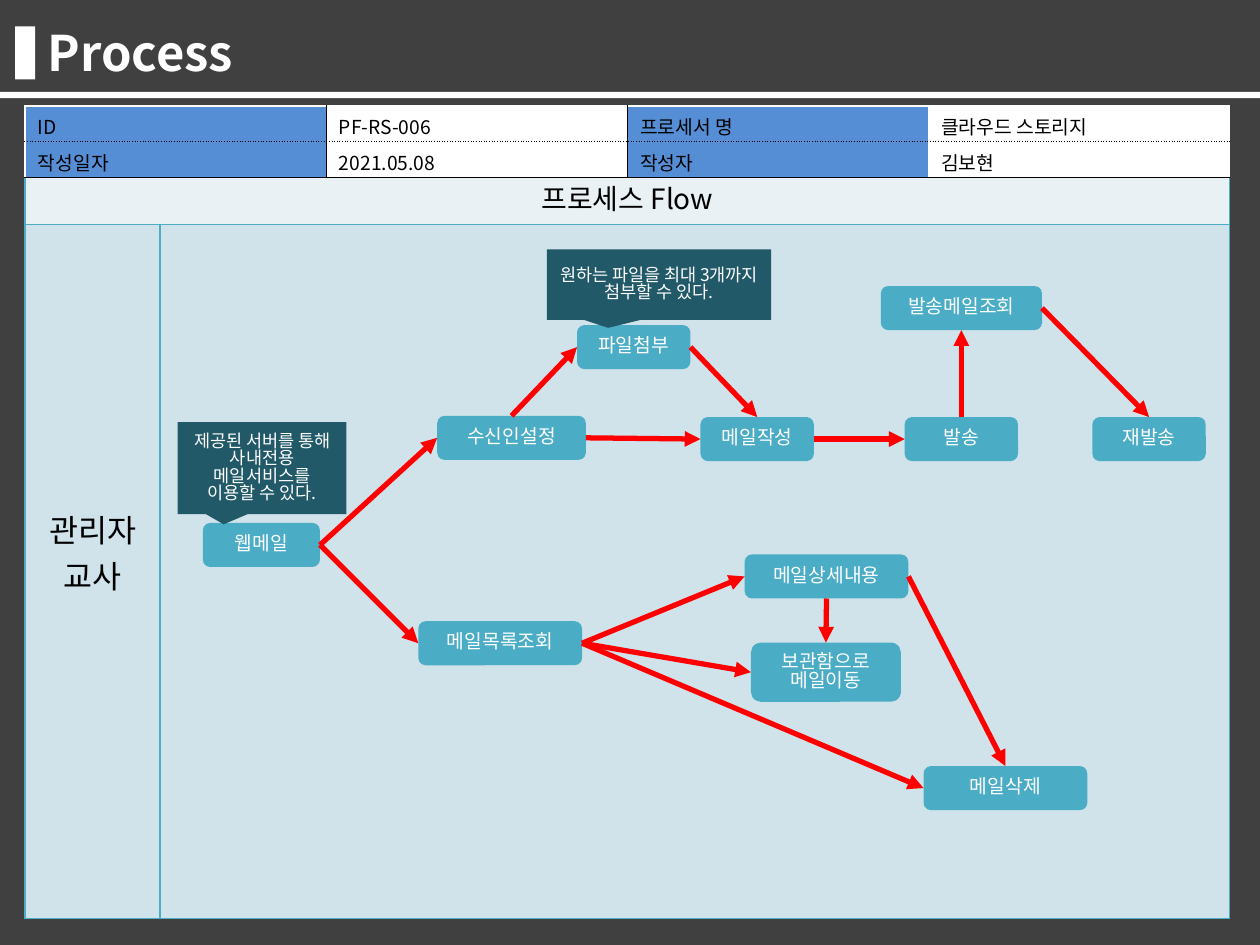
from lxml import etree
from pptx import Presentation
from pptx.dml.color import RGBColor
from pptx.enum.shapes import MSO_CONNECTOR as CONN, MSO_SHAPE as SHAPE
from pptx.enum.text import MSO_ANCHOR as ANCHOR, MSO_AUTO_SIZE as AUTO, PP_ALIGN as ALIGN
from pptx.oxml.ns import qn
from pptx.util import Inches, Pt

FONT = "Noto Sans CJK KR"
WHITE = RGBColor(0xFF, 0xFF, 0xFF)
BLACK = RGBColor(0, 0, 0)
DARK = RGBColor(0x40, 0x40, 0x40)
TEAL = RGBColor(0x4B, 0xAC, 0xC6)
DEEP_TEAL = RGBColor(0x21, 0x59, 0x68)
BLUE = RGBColor(0x55, 0x8E, 0xD5)
PALE = RGBColor(0xE9, 0xF1, 0xF5)
PALE_BLUE = RGBColor(0xD0, 0xE3, 0xEA)
RED = RGBColor(0xFF, 0, 0)

TOP, LEFT, BOTTOM, RIGHT = range(4)  # connection sites

# key: (text, left, top, width, height)
NODES = {
    "webmail": ("웹메일", 1.61, 4.15, 0.93, 0.35),
    "recipient": ("수신인설정", 3.47, 3.3, 1.18, 0.35),
    "attach": ("파일첨부", 4.58, 2.58, 0.9, 0.35),
    "write": ("메일작성", 5.56, 3.31, 0.9, 0.35),
    "send": ("발송", 7.18, 3.31, 0.9, 0.35),
    "sent": ("발송메일조회", 6.99, 2.27, 1.28, 0.35),
    "resend": ("재발송", 8.67, 3.31, 0.9, 0.35),
    "list": ("메일목록조회", 3.32, 4.93, 1.3, 0.35),
    "detail": ("메일상세내용", 5.91, 4.4, 1.3, 0.35),
    "archive": ("보관함으로\n메일이동", 5.96, 5.1, 1.19, 0.47),
    "delete": ("메일삭제", 7.33, 6.08, 1.3, 0.35),
}
EDGES = [
    ("webmail", RIGHT, "recipient", LEFT),
    ("webmail", RIGHT, "list", LEFT),
    ("recipient", TOP, "attach", LEFT),
    ("recipient", RIGHT, "write", LEFT),
    ("attach", RIGHT, "write", TOP),
    ("write", RIGHT, "send", LEFT),
    ("send", TOP, "sent", BOTTOM),
    ("sent", RIGHT, "resend", TOP),
    ("list", RIGHT, "detail", LEFT),
    ("list", RIGHT, "archive", LEFT),
    ("list", RIGHT, "delete", LEFT),
    ("detail", BOTTOM, "archive", TOP),
    ("detail", RIGHT, "delete", TOP),
]
CALLOUTS = [
    ("제공된 서버를 통해 사내전용 메일서비스를 이용할 수 있다.", 1.41, 3.35, 1.34, 0.73),
    ("원하는 파일을 최대 3개까지 첨부할 수 있다.", 4.34, 1.98, 1.78, 0.56),
]
INFO = [
    ["ID", "PF-RS-006", "프로세서 명", "클라우드 스토리지"],
    ["작성일자", "2021.05.08", "작성자", "김보현"],
]


def write_text(tf, text, size, color, align=ALIGN.LEFT, bold=False, spacing=None):
    for i, line in enumerate(text.split("\n")):
        p = tf.paragraphs[0] if i == 0 else tf.add_paragraph()
        p.alignment = align
        p.line_spacing = spacing
        r = p.add_run()
        r.text = line
        r.font.name, r.font.size, r.font.bold = FONT, Pt(size), bold
        r.font.color.rgb = color
        ea = etree.SubElement(r.font._element, qn("a:ea"))
        ea.set("typeface", FONT)


def add_box(s, kind, box, fill):
    sp = s.shapes.add_shape(kind, *map(Inches, box))
    sp.shadow.inherit = False
    sp.fill.solid()
    sp.fill.fore_color.rgb = fill
    sp.line.fill.background()
    return sp


def add_label(s, kind, box, fill, text, size):
    sp = add_box(s, kind, box, fill)
    tf = sp.text_frame
    tf.word_wrap = True
    tf.vertical_anchor = ANCHOR.MIDDLE
    write_text(tf, text, size, WHITE, ALIGN.CENTER, spacing=0.83)
    return sp


def add_grid(s, box, widths, heights):
    table = s.shapes.add_table(len(heights), len(widths), *map(Inches, box)).table
    table.first_row = table.horz_banding = False
    for col, w in zip(table.columns, widths):
        col.width = Inches(w)
    for row, h in zip(table.rows, heights):
        row.height = Inches(h)
    return table


def style_cell(cell, fill, borders):
    """Set borders given as (color, dash) for left, right, top, bottom, then the fill."""
    tc_pr = cell._tc.get_or_add_tcPr()
    for side, (color, dash) in zip("LRTB", borders):
        ln = etree.SubElement(tc_pr, qn(f"a:ln{side}"), w=str(Pt(1)))
        solid = etree.SubElement(ln, qn("a:solidFill"))
        etree.SubElement(solid, qn("a:srgbClr"), val=str(color))
        etree.SubElement(ln, qn("a:prstDash"), val=dash)
    cell.fill.solid()
    cell.fill.fore_color.rgb = fill


def add_heading(s, box):
    x, y, w, h = box
    title = s.shapes.title
    backdrop = add_box(s, SHAPE.RECTANGLE, (0, 0, 10, 7.5), DARK)
    title.element.addprevious(backdrop._element)
    title.left, title.top, title.width, title.height = map(
        Inches, (x + 0.28, y + 0.13, w - 1.02, 0.57))
    tf = title.text_frame
    tf.auto_size, tf.vertical_anchor = AUTO.NONE, ANCHOR.MIDDLE
    write_text(tf, "Process", 28, WHITE, bold=True)
    add_box(s, SHAPE.RECTANGLE, (x + 0.12, y + 0.21, 0.16, 0.42), WHITE)
    add_box(s, SHAPE.RECTANGLE, (x, y + h - 0.05, w, 0.05), WHITE)


def add_flow_frame(s, box):
    table = add_grid(s, box, [1.07, 8.49], [0.42, 5.51])
    for cell in table.iter_cells():
        style_cell(cell, PALE_BLUE, [(TEAL, "solid")] * 4)
    head, role = table.cell(0, 0), table.cell(1, 0)
    head.merge(table.cell(0, 1))
    head.fill.fore_color.rgb = PALE
    write_text(head.text_frame, "프로세스 Flow", 16, BLACK, ALIGN.CENTER)
    role.vertical_anchor = ANCHOR.MIDDLE
    role.margin_bottom = Inches(0.36)
    write_text(role.text_frame, "관리자\n교사", 18, BLACK, ALIGN.CENTER)


def add_info_table(s, box):
    table = add_grid(s, box, [box[2] / 4] * 4, [box[3] / 2] * 2)
    verticals = [(c, "solid") for c in (WHITE, BLACK, BLACK, WHITE, WHITE)]
    horizontals = [(WHITE, "solid"), (BLACK, "sysDot"), (BLACK, "solid")]
    for i, row in enumerate(INFO):
        for j, text in enumerate(row):
            cell = table.cell(i, j)
            style_cell(cell, WHITE if j % 2 else BLUE,
                       verticals[j:j + 2] + horizontals[i:i + 2])
            cell.margin_bottom = 0
            write_text(cell.text_frame, text, 11, BLACK)


def add_arrow(s, start, start_site, end, end_site):
    cn = s.shapes.add_connector(CONN.STRAIGHT, 0, 0, 0, 0)
    cn.begin_connect(start, start_site)
    cn.end_connect(end, end_site)
    cn.line.color.rgb = RED
    cn.line.width = Pt(3)
    etree.SubElement(cn.line._get_or_add_ln(), qn("a:tailEnd"), type="triangle")
    etree.SubElement(cn._element.spPr, qn("a:effectLst"))


def add_flow(s, box):
    x, y = box[:2]

    def place(left, top, w, h):
        return x + left - 1.27, y + top - 1.78, w, h

    # Steps, then the arrows between them
    steps = {key: add_label(s, SHAPE.ROUNDED_RECTANGLE, place(*pos), TEAL, text, 11)
             for key, (text, *pos) in NODES.items()}
    for start, start_site, end, end_site in EDGES:
        add_arrow(s, steps[start], start_site, steps[end], end_site)
    # Explanatory callouts
    for text, *pos in CALLOUTS:
        sp = add_label(s, SHAPE.RECTANGULAR_CALLOUT, place(*pos), DEEP_TEAL, text, 10)
        sp.adjustments[0], sp.adjustments[1] = -0.227, 0.612


def main():
    prs = Presentation()
    prs.slide_width, prs.slide_height = Inches(10), Inches(7.5)
    s = prs.slides.add_slide(prs.slide_layouts[5])
    add_heading(s, (0, 0, 10, 0.78))
    add_flow_frame(s, (0.2, 1.36, 9.56, 5.93))
    add_info_table(s, (0.2, 0.84, 9.56, 0.57))
    add_flow(s, (1.27, 1.78, 8.49, 5.51))
    prs.save("out.pptx")


if __name__ == "__main__":
    main()
